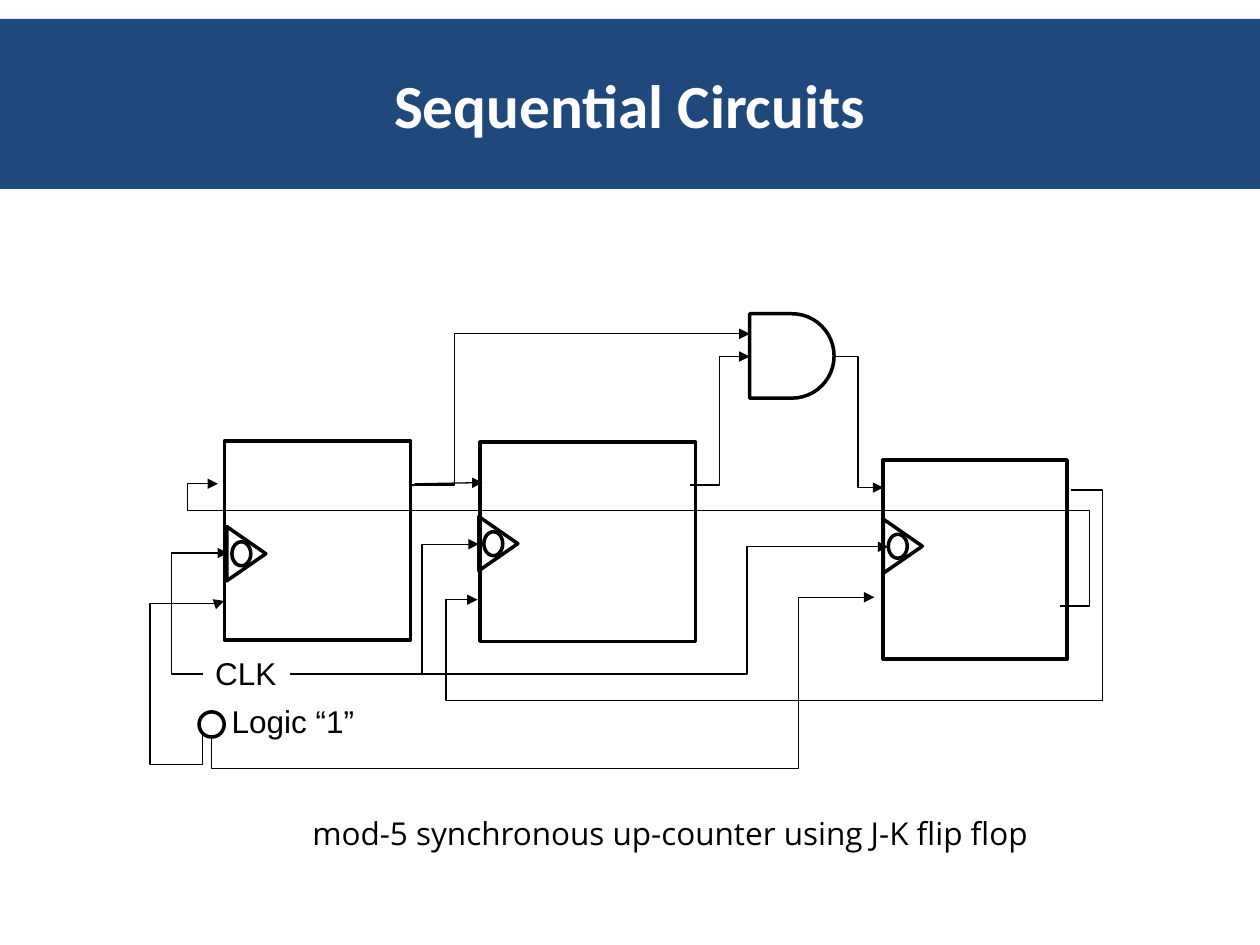
from dataclasses import dataclass
from itertools import cycle

from lxml.etree import SubElement
from pptx import Presentation
from pptx.dml.color import RGBColor
from pptx.enum.shapes import MSO_CONNECTOR as Link, MSO_SHAPE as Kind
from pptx.enum.text import MSO_ANCHOR as Anchor, MSO_AUTO_SIZE as Fit, PP_ALIGN as Align
from pptx.oxml.ns import qn
from pptx.shapes.autoshape import Shape
from pptx.slide import Slide
from pptx.util import Inches, Pt


@dataclass(frozen=True)
class Theme:
    ink: RGBColor = RGBColor(0, 0, 0)
    banner: RGBColor = RGBColor(0x1F, 0x49, 0x7D)
    title_ink: RGBColor = RGBColor(0xFF, 0xFF, 0xFF)
    title_font: str = "Calibri"
    label_font: str = "Arial"
    caption_font: str = "Open Sans"
    title_size: float = 35
    label_size: float = 18
    part_line: float = 2
    wire_line: float = 0.75


@dataclass(frozen=True)
class Part:
    kind: Kind
    left: float
    top: float
    width: float
    height: float
    rotation: float = 0


@dataclass(frozen=True)
class Wire:
    start: tuple[float, float]
    end: tuple[float, float]
    turns: tuple[float, ...] = ()
    upright: bool = False


@dataclass(frozen=True)
class Label:
    text: str
    left: float
    top: float
    width: float
    font: str
    wrap: bool = False


THEME = Theme()

FLIP_FLOPS = [
    Part(Kind.RECTANGLE, 1.78, 3.5, 1.48, 1.58),
    Part(Kind.RECTANGLE, 3.81, 3.51, 1.71, 1.58),
    Part(Kind.RECTANGLE, 7.01, 3.65, 1.46, 1.58),
]
AND_GATE = Part(Kind.FLOWCHART_DELAY, 5.95, 2.49, 0.67, 0.67)
LOGIC_SOURCE = Part(Kind.FLOWCHART_CONNECTOR, 1.58, 5.65, 0.2, 0.2)
CLOCK_INPUTS = [(1.74, 4.24), (3.74, 4.16), (6.95, 4.18)]

WIRES = [
    Wire((3.25, 3.85), (5.95, 2.65), (3.61,)),
    Wire((5.48, 3.85), (5.95, 2.83), (5.71,)),
    Wire((6.62, 2.83), (7.01, 3.87), (6.81,)),
    Wire((8.41, 4.81), (1.73, 3.84), (8.65, 4.05, 1.49)),
    Wire((8.5, 3.89), (3.79, 4.76), (8.75, 5.56, 3.54)),
    Wire((3.29, 3.84), (3.83, 3.83)),
    Wire((1.61, 5.82), (1.78, 4.77), (6.07, 1.19, 4.79), upright=True),
    Wire((1.68, 5.85), (6.94, 4.74), (6.1, 6.34), upright=True),
    Wire((1.61, 5.35), (1.81, 4.39), (1.36,)),
    Wire((2.3, 5.35), (3.8, 4.32), (3.35,)),
    Wire((2.3, 5.35), (7.05, 4.34), (5.93,)),
]

LABELS = [
    Label("Logic “1”", 1.74, 5.52, 1.19, THEME.label_font),
    Label("CLK", 1.61, 5.14, 0.69, THEME.label_font),
    Label("mod-5 synchronous up-counter using J-K flip flop",
          2.38, 6.41, 5.89, THEME.caption_font, wrap=True),
]


def write(shape: Shape, text: str, *, font: str, size: float, color: RGBColor,
          bold: bool = False, align: Align = Align.LEFT) -> None:
    paragraph = shape.text_frame.paragraphs[0]
    paragraph.alignment = align
    run = paragraph.add_run()
    run.text = text
    run.font.name = font
    run.font.size = Pt(size)
    run.font.bold = bold
    run.font.color.rgb = color


def place(slide: Slide, part: Part) -> Shape:
    shape = slide.shapes.add_shape(part.kind, Inches(part.left), Inches(part.top),
                                   Inches(part.width), Inches(part.height))
    shape.rotation = part.rotation
    shape.shadow.inherit = False
    return shape


def draw_part(slide: Slide, part: Part) -> None:
    outline = place(slide, part)
    outline.fill.background()
    outline.line.color.rgb = THEME.ink
    outline.line.width = Pt(THEME.part_line)


def draw_clock_input(slide: Slide, left: float, top: float) -> None:
    draw_part(slide, Part(Kind.ISOSCELES_TRIANGLE, left, top, 0.43, 0.31, 90))
    draw_part(slide, Part(Kind.FLOWCHART_CONNECTOR, left + 0.08, top + 0.08, 0.19, 0.15, 90))


def draw_wire(slide: Slide, wire: Wire) -> None:
    start, end = wire.start, wire.end
    if wire.upright:
        mid_x, mid_y = ((a + b) / 2 for a, b in zip(start, end))
        start, end = ((mid_x + y - mid_y, mid_y - x + mid_x) for x, y in (start, end))
    link = slide.shapes.add_connector(Link.ELBOW if wire.turns else Link.STRAIGHT,
                                      *map(Inches, (*start, *end)))
    link.line.color.rgb = THEME.ink
    link.line.width = Pt(THEME.wire_line)
    properties = link._element.spPr
    if wire.upright:
        properties.find(qn("a:xfrm")).set("rot", "5400000")
    if wire.turns:
        geometry = properties.find(qn("a:prstGeom"))
        geometry.set("prst", f"bentConnector{len(wire.turns) + 2}")
        guides = geometry.find(qn("a:avLst"))
        if guides is None:
            guides = SubElement(geometry, qn("a:avLst"))
        axes = cycle((1, 0) if wire.upright else (0, 1))
        for number, (turn, axis) in enumerate(zip(wire.turns, axes), 1):
            span = wire.end[axis] - wire.start[axis]
            share = round((turn - wire.start[axis]) / span * 100000)
            SubElement(guides, qn("a:gd"), name=f"adj{number}", fmla=f"val {share}")
    SubElement(properties.find(qn("a:ln")), qn("a:tailEnd"), type="triangle")
    SubElement(properties, qn("a:effectLst"))


def draw_label(slide: Slide, label: Label) -> None:
    box = slide.shapes.add_textbox(Inches(label.left), Inches(label.top),
                                   Inches(label.width), Inches(0.4))
    box.text_frame.word_wrap = label.wrap
    box.text_frame.auto_size = Fit.SHAPE_TO_FIT_TEXT
    write(box, label.text, font=label.font, size=THEME.label_size, color=THEME.ink)


def draw_title(slide: Slide, title: str) -> None:
    banner = place(slide, Part(Kind.RECTANGLE, 0, 0.15, 10, 1.35))
    banner.fill.solid()
    banner.fill.fore_color.rgb = THEME.banner
    banner.line.fill.background()
    banner.text_frame.vertical_anchor = Anchor.MIDDLE
    write(banner, title, font=THEME.title_font, size=THEME.title_size,
          color=THEME.title_ink, bold=True, align=Align.CENTER)


def main() -> None:
    deck = Presentation()
    deck.slide_width, deck.slide_height = Inches(10), Inches(7.5)
    slide = deck.slides.add_slide(deck.slide_layouts[6])
    draw_title(slide, "Sequential Circuits")
    for part in (*FLIP_FLOPS, AND_GATE, LOGIC_SOURCE):
        draw_part(slide, part)
    for left, top in CLOCK_INPUTS:
        draw_clock_input(slide, left, top)
    for wire in WIRES:
        draw_wire(slide, wire)
    for label in LABELS:
        draw_label(slide, label)
    deck.save("out.pptx")


if __name__ == "__main__":
    main()
